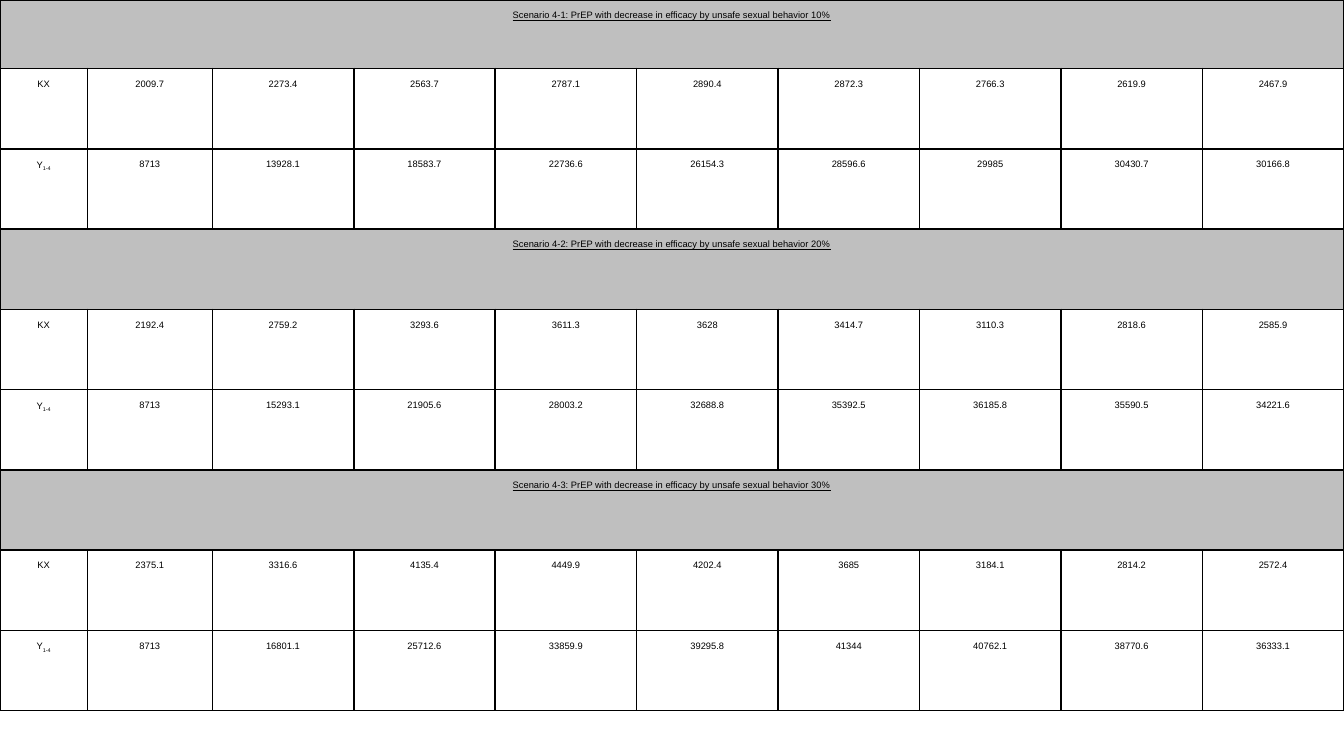
import pptx
import pptx.util
import pptx.dml.color
import pptx.enum.text
import pptx.oxml.ns
import lxml.etree

Inches = pptx.util.Inches
Pt = pptx.util.Pt
INK = {"text": "000000", "line": "000000", "band": "BFBFBF"}
PAD = {"margin_left": Inches(0.07), "margin_right": Inches(0.07),
       "margin_top": Inches(0.1), "margin_bottom": Inches(0.1)}
PARA = {"alignment": pptx.enum.text.PP_ALIGN.CENTER, "line_spacing": 0.64,
        "space_before": Pt(12), "space_after": Pt(12)}
FONT = {"name": "Arial", "size": Pt(5)}

# Each scenario: loss of efficacy, KX values, Y values
DATA = [
    (10, "2009.7 2273.4 2563.7 2787.1 2890.4 2872.3 2766.3 2619.9 2467.9",
     "8713 13928.1 18583.7 22736.6 26154.3 28596.6 29985 30430.7 30166.8"),
    (20, "2192.4 2759.2 3293.6 3611.3 3628 3414.7 3110.3 2818.6 2585.9",
     "8713 15293.1 21905.6 28003.2 32688.8 35392.5 36185.8 35590.5 34221.6"),
    (30, "2375.1 3316.6 4135.4 4449.9 4202.4 3685 3184.1 2814.2 2572.4",
     "8713 16801.1 25712.6 33859.9 39295.8 41344 40762.1 38770.6 36333.1"),
]


def put(item, form):
    for key, val in form.items():
        setattr(item, key, val)


def rgb(key):
    return pptx.dml.color.RGBColor.from_string(INK[key])


def frame(cell):
    """Draw the four borders of a cell."""
    qn = pptx.oxml.ns.qn
    prop = cell._tc.get_or_add_tcPr()
    for side in "LRTB":
        line = lxml.etree.SubElement(prop, qn(f"a:ln{side}"), w=str(Pt(1)))
        fill = lxml.etree.SubElement(line, qn("a:solidFill"))
        lxml.etree.SubElement(fill, qn("a:srgbClr"), val=INK["line"])


def write(cell, text, sub="", under=False):
    """Fill a cell with centred text and an optional subscript."""
    para = cell.text_frame.paragraphs[0]
    put(para, PARA)
    for part in filter(None, (text, sub)):
        run = para.add_run()
        run.text = part
        put(run.font, FONT)
        run.font.underline = under
        run.font.color.rgb = rgb("text")
        if part == sub:
            run._r.get_or_add_rPr().set("baseline", "-25000")


def block(grid, top, loss, *sets):
    """One scenario: a merged heading row and two rows of values."""
    head = grid.cell(top, 0)
    head.merge(grid.cell(top, len(grid.columns) - 1))
    head.fill.solid()
    head.fill.fore_color.rgb = rgb("band")
    write(head, f"Scenario 4-{loss // 10}: PrEP with decrease in efficacy "
                f"by unsafe sexual behavior {loss}%", under=True)
    names = [("KX", ""), ("Y", "1-4")]
    for row, (name, vals) in enumerate(zip(names, sets), top + 1):
        write(grid.cell(row, 0), *name)
        for col, val in enumerate(vals.split(), 1):
            write(grid.cell(row, col), val)


def table(slide, left, top, width, height):
    """The whole table of scenarios, within the given box."""
    rows, cols = 3 * len(DATA), 10
    grid = slide.shapes.add_table(
        rows, cols, Inches(left), Inches(top),
        Inches(width), Inches(height)).table
    put(grid, {"first_row": False, "horz_banding": False})

    # Narrow label and first columns, short first row, the rest equal
    wide = [0.65, 0.93] + [(width - 1.58) / (cols - 2)] * (cols - 2)
    high = [0.51] + [(height - 0.51) / (rows - 1)] * (rows - 1)
    for col, size in zip(grid.columns, wide):
        col.width = Inches(size)
    for row, size in zip(grid.rows, high):
        row.height = Inches(size)

    for cell in grid.iter_cells():
        put(cell, PAD)
        frame(cell)
        cell.fill.background()
    for num, case in enumerate(DATA):
        block(grid, 3 * num, *case)


def main():
    # A 16:9 slide, ten inches wide
    deck = pptx.Presentation()
    put(deck, {"slide_width": Inches(10),
               "slide_height": Inches(10 * 9 / 16)})
    slide = deck.slides.add_slide(deck.slide_layouts[6])
    table(slide, 0, 0, 10, 5.29)
    deck.save("out.pptx")


if __name__ == "__main__":
    main()
